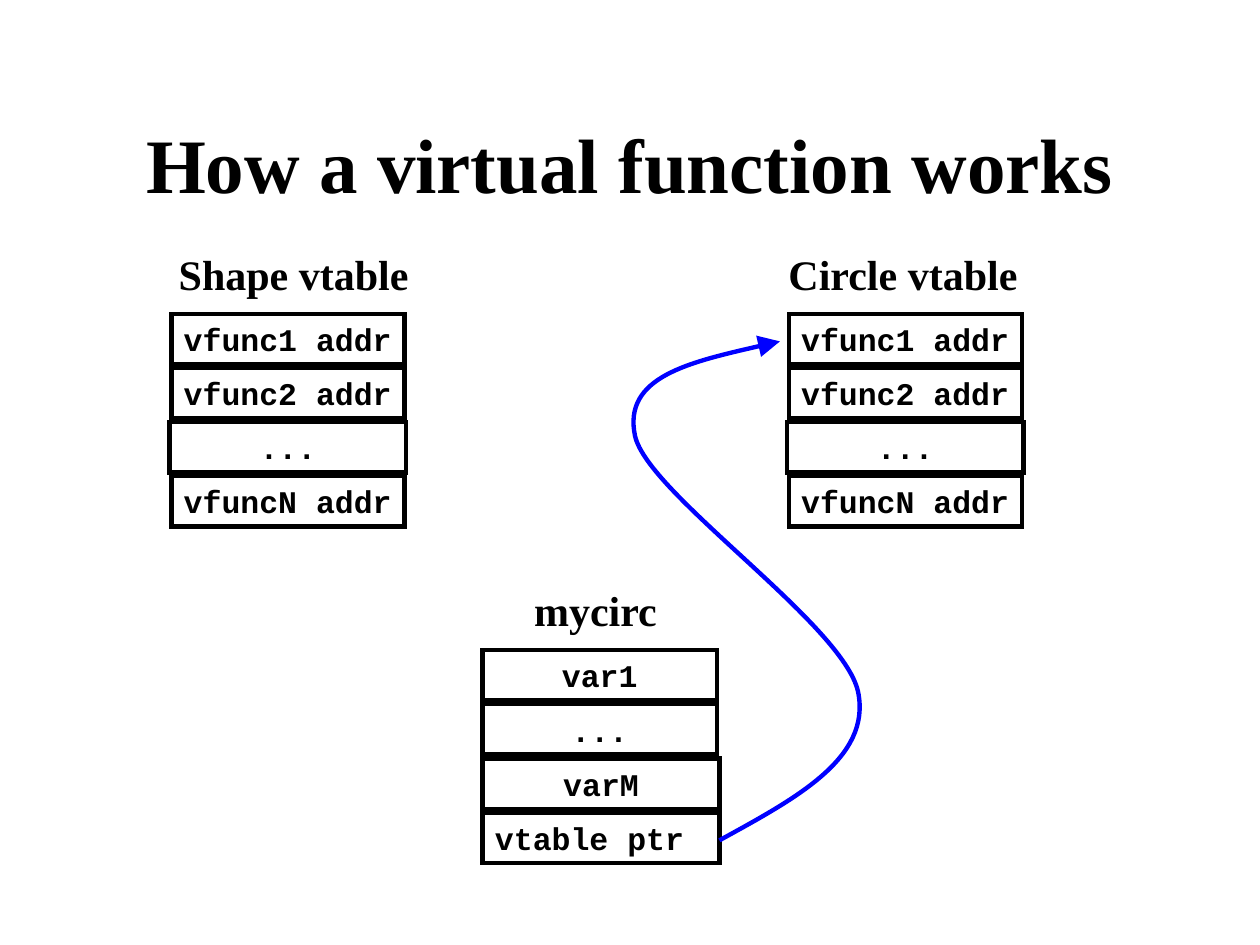
"""Build the slide that explains how a virtual function call is resolved."""
from dataclasses import dataclass

import lxml.etree
import pptx
import pptx.dml.color
import pptx.enum.shapes
import pptx.enum.text
import pptx.oxml.ns
import pptx.util

ALIGN = pptx.enum.text.PP_ALIGN
ANCHOR = pptx.enum.text.MSO_ANCHOR
AUTO = pptx.enum.text.MSO_AUTO_SIZE


@dataclass(frozen=True)
class Theme:
    """Colours, fonts and sizes of the slide."""
    ink: str = "000000"
    pointer: str = "0000FF"
    prose: str = "Times New Roman"
    code: str = "Courier New"
    title: int = 44
    heading: int = 24
    cell: int = 18
    stroke: float = 2.5


THEME = Theme()
COLUMNS, ROWS = 100, 75
CELL_HEIGHT, CELL_PITCH = 4, 4.3
HEADING_HEIGHT, HEADING_PITCH = 5, 5.7
FRAME = {"vertical_anchor": ANCHOR.TOP, "auto_size": AUTO.SHAPE_TO_FIT_TEXT}
FIT = {**FRAME, "word_wrap": False}
WRAP = {**FRAME, "word_wrap": True}


def grid(steps):
    """Turn grid columns or rows into a length."""
    return pptx.util.Inches(steps / 10)


def apply(target, values):
    """Set each attribute named in values on the target."""
    for name, value in values.items():
        setattr(target, name, value)


def write(owner, text, font, size, frame, align=ALIGN.LEFT):
    """Put one bold paragraph into a shape."""
    apply(owner.text_frame, frame)
    paragraph = owner.text_frame.paragraphs[0]
    paragraph.alignment = align
    run = paragraph.add_run()
    run.text = text
    apply(run.font, {"name": font, "size": pptx.util.Pt(size), "bold": True})
    run.font.color.rgb = pptx.dml.color.RGBColor.from_string(THEME.ink)


def add_line_part(shape, tag, **values):
    """Append a join or an arrowhead to the line of a shape."""
    qn = pptx.oxml.ns.qn
    line = shape.element.spPr.find(qn("a:ln"))
    lxml.etree.SubElement(line, qn(tag), **values)


def outline(shape, color):
    """Leave a shape unfilled and give it a plain line with sharp corners."""
    shape.shadow.inherit = False
    shape.fill.background()
    shape.line.color.rgb = pptx.dml.color.RGBColor.from_string(color)
    shape.line.width = pptx.util.Pt(THEME.stroke)
    add_line_part(shape, "a:miter", lim="800000")


def add_title(slide, text, box):
    """Move and format the title placeholder."""
    title = slide.shapes.title
    apply(title, dict(zip(("left", "top", "width", "height"), map(grid, box))))
    frame = {"vertical_anchor": ANCHOR.MIDDLE, "word_wrap": True}
    write(title, text, THEME.prose, THEME.title, frame, ALIGN.CENTER)


def add_memory_block(slide, left, top, heading, cells):
    """Stack labelled memory cells below a heading."""
    label, shift, width = heading
    caption = slide.shapes.add_textbox(
        grid(left + shift), grid(top), grid(width), grid(HEADING_HEIGHT))
    write(caption, label, THEME.prose, THEME.heading, FIT)
    for row, (content, shift, width, frame, align) in enumerate(cells):
        cell = slide.shapes.add_shape(
            pptx.enum.shapes.MSO_SHAPE.RECTANGLE, grid(left + shift),
            grid(top + HEADING_PITCH + row * CELL_PITCH),
            grid(width), grid(CELL_HEIGHT))
        outline(cell, THEME.ink)
        write(cell, content, THEME.code, THEME.cell, frame, align)


def add_pointer(slide, start, controls):
    """Draw a curved arrow through cubic control points."""
    builder = slide.shapes.build_freeform(*map(grid, start), scale=1.0)
    builder.add_line_segments(
        [(grid(x), grid(y)) for x, y in controls], close=False)
    pointer = builder.convert_to_shape()
    outline(pointer, THEME.pointer)
    qn = pptx.oxml.ns.qn
    steps = list(pointer.element.iter(qn("a:lnTo")))
    for first in range(0, len(steps), 3):
        route = steps[first].getparent()
        curve = lxml.etree.SubElement(route, qn("a:cubicBezTo"))
        for step in steps[first:first + 3]:
            curve.append(step[0])
            route.remove(step)
    add_line_part(pointer, "a:tailEnd", type="triangle", w="lg", len="lg")


def main():
    """Assemble and save the slide."""
    deck = pptx.Presentation()
    apply(deck, {"slide_width": grid(COLUMNS), "slide_height": grid(ROWS)})
    slide = deck.slides.add_slide(deck.slide_layouts[5])
    add_title(slide, "How a virtual function works", (7.5, 6.7, 85, 12.5))

    vtable = [
        ("vfunc1 addr", 0, 18.5, FIT, ALIGN.LEFT),
        ("vfunc2 addr", 0, 18.5, FIT, ALIGN.LEFT),
        ("...", -0.15, 18.8, WRAP, ALIGN.CENTER),
        ("vfuncN addr", 0, 18.5, FIT, ALIGN.LEFT),
    ]
    instance = [
        ("var1", 0, 18.6, WRAP, ALIGN.CENTER),
        ("...", 0, 18.6, WRAP, ALIGN.CENTER),
        ("varM", 0, 18.8, WRAP, ALIGN.CENTER),
        ("vtable ptr", 0, 18.8, WRAP, ALIGN.LEFT),
    ]
    add_memory_block(slide, 13.6, 19.2, ("Shape vtable", -0.4, 20.6), vtable)
    add_memory_block(slide, 62.6, 19.2, ("Circle vtable", -1, 20.6), vtable)
    add_memory_block(slide, 38.3, 45.9, ("mycirc", 3.1, 12), instance)
    add_pointer(slide, (57.1, 66.7), [
        (63.1, 63.4), (69.2, 60.2), (68.1, 54.9),
        (66.9, 49.5), (51.4, 39.2), (50.4, 34.6),
        (49.4, 29.9), (55.7, 28.5), (61.9, 27.1),
    ])
    deck.save("out.pptx")


if __name__ == "__main__":
    main()
